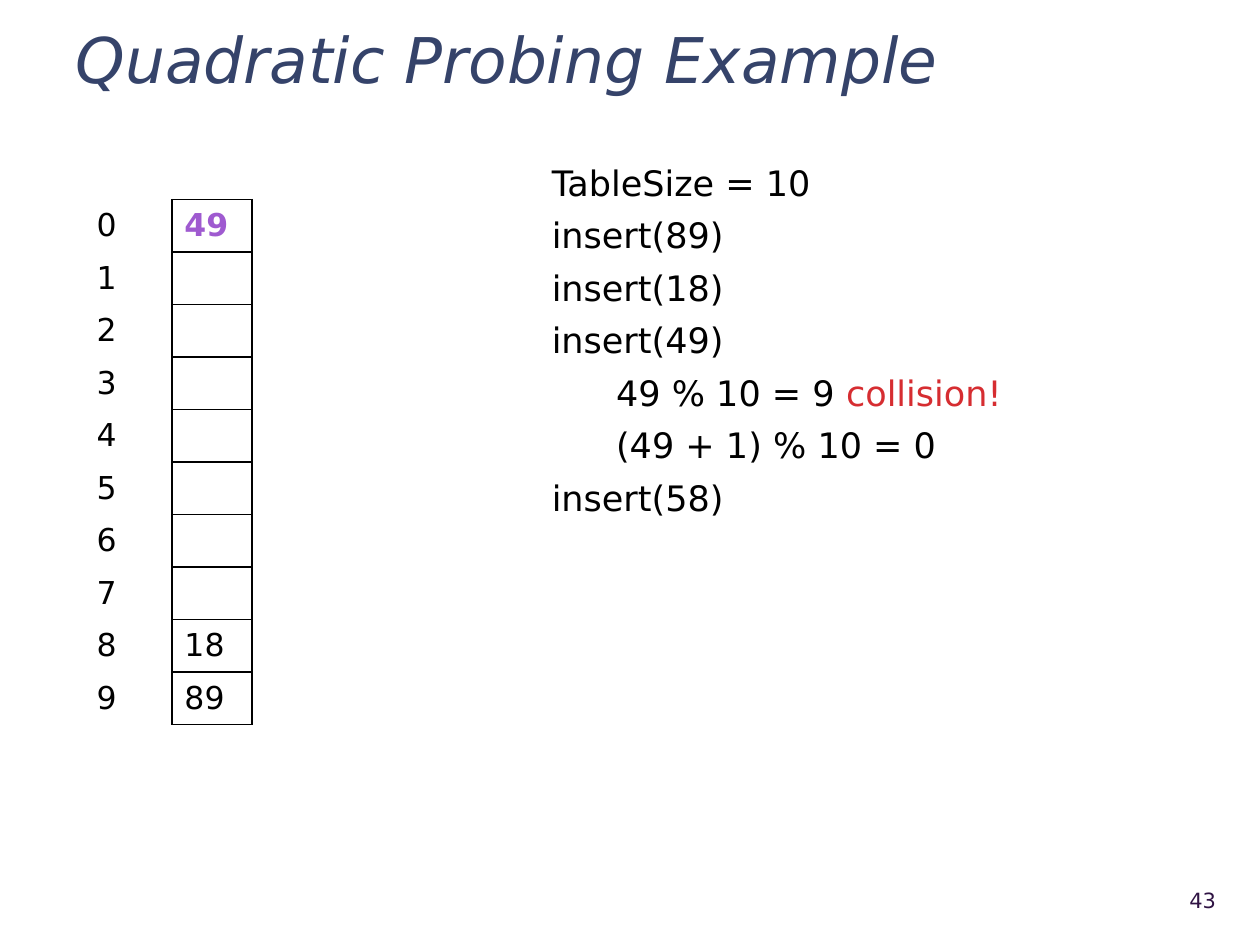
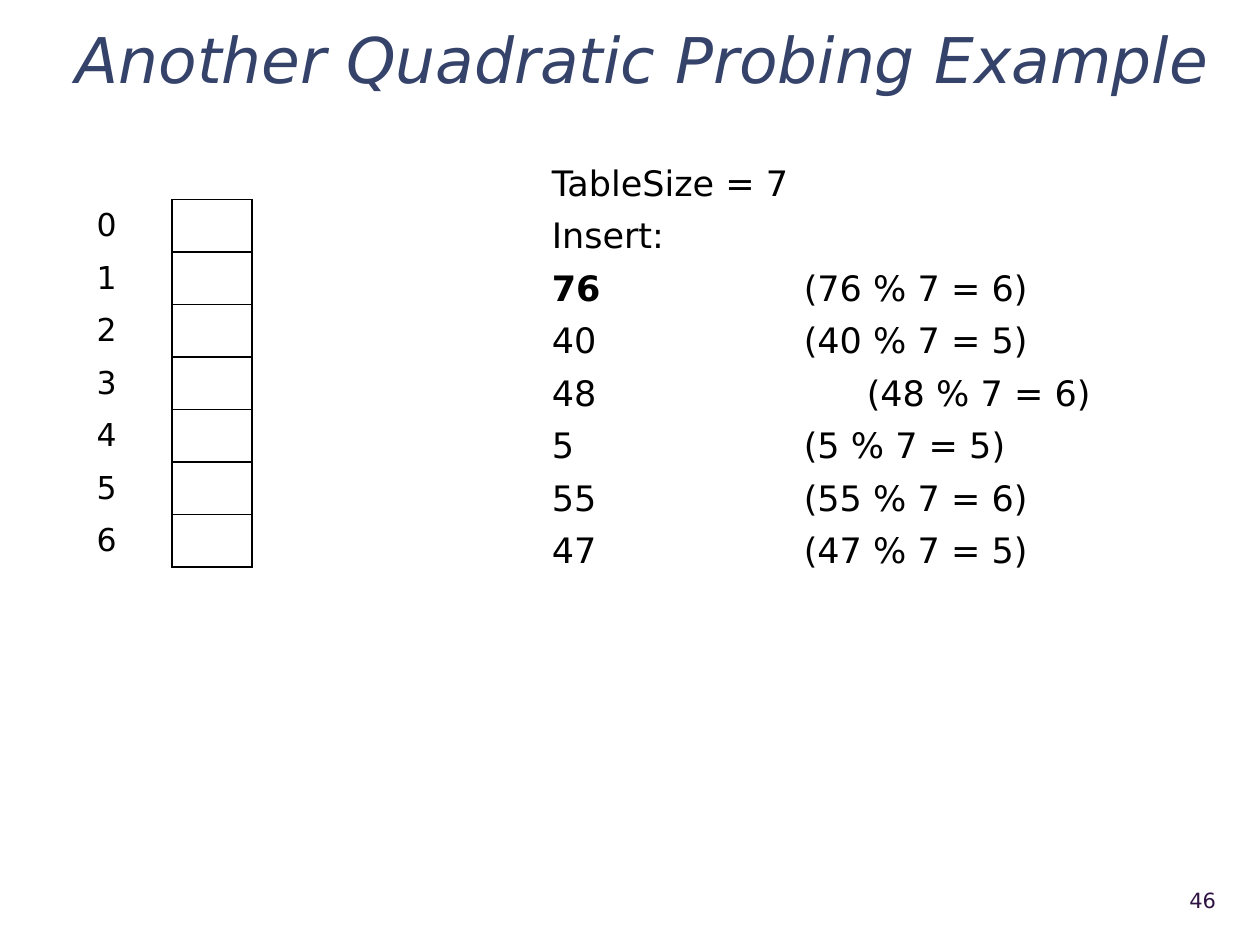
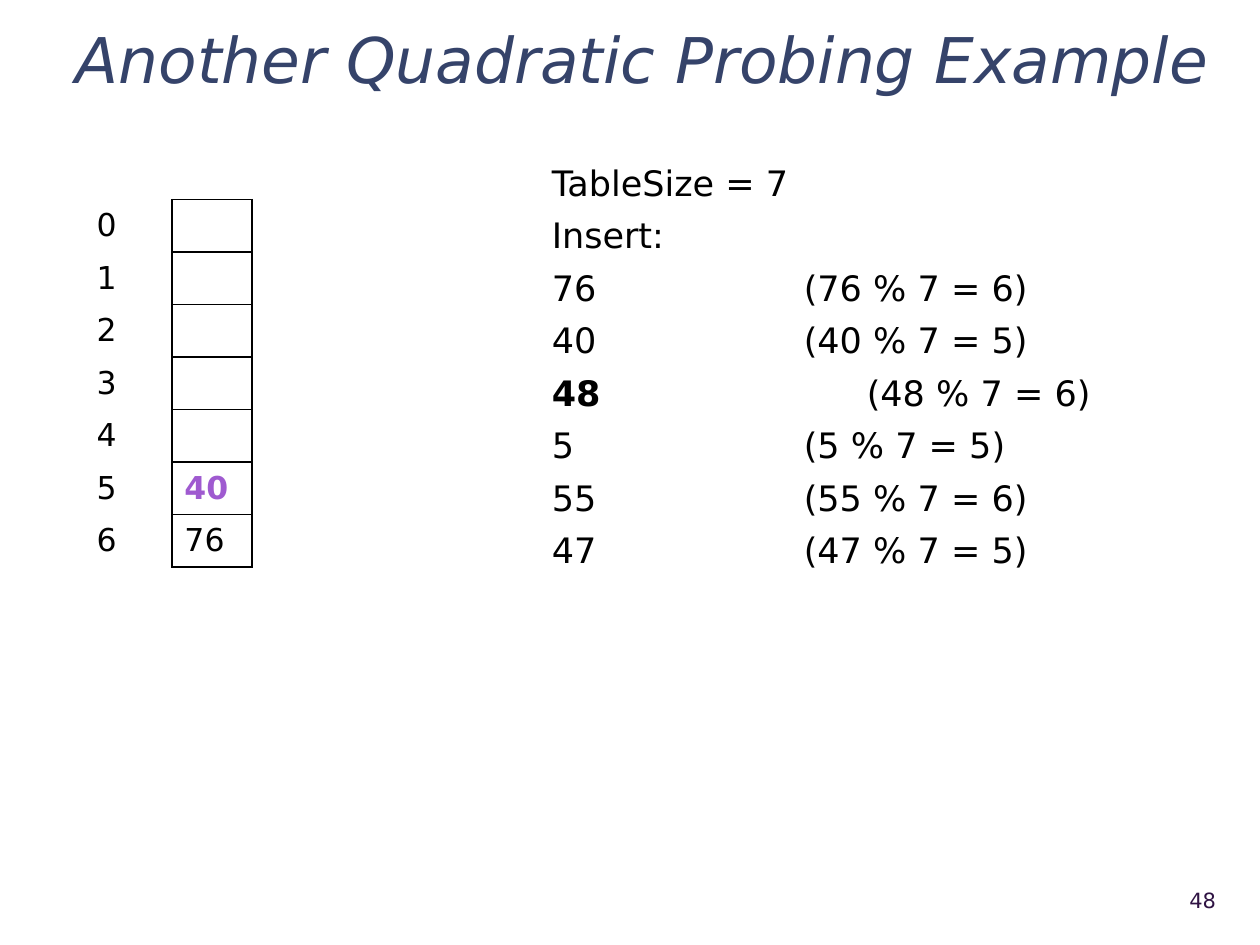
from dataclasses import dataclass

from lxml.etree import SubElement
from pptx import Presentation
from pptx.dml.color import RGBColor
from pptx.enum.text import MSO_ANCHOR as Anchor, MSO_AUTO_SIZE as AutoSize, PP_ALIGN as Align
from pptx.oxml.ns import qn
from pptx.util import Emu, Pt

# Shared style
FONT = "DejaVu Sans"
NAVY, BLACK, RED = "35436A", "000000", "D62D31"
PURPLE, PLUM = "9F5AD0", "2F1343"
SLOT_HEIGHT, INDEX_WIDTH, VALUE_WIDTH = 40, 67, 61
STEP_INDENT, HASH_TAB, FAR_HASH_TAB = 49, 192, 240
TITLE_ONLY = 5


@dataclass(frozen=True)
class Box:
    left: int
    top: int
    width: int
    height: int


@dataclass(frozen=True)
class Words:
    text: str
    color: str = BLACK
    bold: bool = False


@dataclass(frozen=True)
class Line:
    words: tuple[Words, ...]
    indent: int = 0
    tab: int = 0


@dataclass(frozen=True)
class Example:
    title: str
    number: str
    slots: int
    filled: dict[int, Words]
    lines: list[Line]
    lines_height: int


TITLE_BOX = Box(48, 16, 888, 51)
NUMBER_BOX = Box(853, 667, 83, 38)


def px(length: int) -> Emu:
    return Emu(length * 9525)


def rgb(color: str) -> RGBColor:
    return RGBColor.from_string(color)


def place(box: Box) -> tuple[Emu, Emu, Emu, Emu]:
    return px(box.left), px(box.top), px(box.width), px(box.height)


def add_words(paragraph, words: Words, size: int, italic: bool = False) -> None:
    run = paragraph.add_run()
    run.text = words.text
    font = run.font
    font.name, font.size = FONT, Pt(size)
    font.bold, font.italic = words.bold, italic
    font.color.rgb = rgb(words.color)


# Title and slide number
def set_title(slide, text: str) -> None:
    title = slide.shapes.title
    title.left, title.top, title.width, title.height = place(TITLE_BOX)
    frame = title.text_frame
    frame.word_wrap, frame.auto_size = True, AutoSize.NONE
    frame.vertical_anchor = Anchor.MIDDLE
    heading = frame.paragraphs[0]
    heading.alignment, heading.line_spacing = Align.LEFT, 1.1
    add_words(heading, Words(text, NAVY), 36, italic=True)


def add_number(slide, number: str) -> None:
    frame = slide.shapes.add_textbox(*place(NUMBER_BOX)).text_frame
    frame.word_wrap, frame.vertical_anchor = True, Anchor.MIDDLE
    footer = frame.paragraphs[0]
    footer.alignment = Align.RIGHT
    add_words(footer, Words(number, PLUM), 12)


# Hash table
def set_borders(cell, sides: str) -> None:
    properties = cell._tc.get_or_add_tcPr()
    for side in sides:
        border = SubElement(properties, qn(f"a:ln{side}"), w=str(Pt(1)))
        SubElement(SubElement(border, qn("a:solidFill")), qn("a:srgbClr"), val=BLACK)


def add_hash_table(slide, slots: int, filled: dict[int, Words]) -> None:
    box = Box(64, 152, INDEX_WIDTH + VALUE_WIDTH, slots * SLOT_HEIGHT)
    table = slide.shapes.add_table(slots, 2, *place(box)).table
    table.first_row = table.horz_banding = False
    for column, width in zip(table.columns, (INDEX_WIDTH, VALUE_WIDTH)):
        column.width = px(width)
    for slot, row in enumerate(table.rows):
        row.height = px(SLOT_HEIGHT)
        entries = (Words(str(slot)), filled.get(slot))
        for cell, entry, sides in zip(row.cells, entries, ("R", "LRTB")):
            set_borders(cell, sides)
            cell.fill.background()
            cell.vertical_anchor = Anchor.MIDDLE
            if entry:
                add_words(cell.text_frame.paragraphs[0], entry, 18)


# Insertion steps
def add_lines(slide, lines: list[Line], height: int) -> None:
    frame = slide.shapes.add_textbox(*place(Box(411, 118, 463, height))).text_frame
    frame.word_wrap, frame.auto_size = True, AutoSize.SHAPE_TO_FIT_TEXT
    for position, line in enumerate(lines):
        paragraph = frame.add_paragraph() if position else frame.paragraphs[0]
        properties = paragraph._p.get_or_add_pPr()
        if line.indent:
            properties.set("marL", str(px(line.indent)))
            properties.set("indent", "0")
        if line.tab:
            tabs = SubElement(properties, qn("a:tabLst"))
            SubElement(tabs, qn("a:tab"), pos=str(px(line.tab)), algn="l")
        if position:
            paragraph.space_before = Pt(6)
        for words in line.words:
            add_words(paragraph, words, 20)


def plain(text: str, indent: int = 0) -> Line:
    return Line((Words(text),), indent)


def key_lines(current: int) -> list[Line]:
    lines = [plain("TableSize = 7"), plain("Insert:")]
    for key in (76, 40, 48, 5, 55, 47):
        words = (Words(str(key), bold=key == current), Words(f"\t({key} % 7 = {key % 7})"))
        lines.append(Line(words, tab=FAR_HASH_TAB if key == 48 else HASH_TAB))
    return lines


# Slide contents
ANOTHER = "Another Quadratic Probing Example"
EXAMPLES = [
    Example(
        "Quadratic Probing Example", "43", 10,
        {0: Words("49", PURPLE, True), 8: Words("18"), 9: Words("89")},
        [
            plain("TableSize = 10"),
            plain("insert(89)"),
            plain("insert(18)"),
            plain("insert(49)"),
            Line((Words("49 % 10 = 9 "), Words("collision!", RED)), STEP_INDENT),
            plain("(49 + 1) % 10 = 0", STEP_INDENT),
            plain("insert(58)"),
        ],
        284,
    ),
    Example(ANOTHER, "46", 7, {}, key_lines(76), 445),
    Example(ANOTHER, "48", 7, {5: Words("40", PURPLE, True), 6: Words("76")},
            key_lines(48), 445),
]


def main() -> None:
    deck = Presentation()
    deck.slide_width, deck.slide_height = px(960), px(720)
    for example in EXAMPLES:
        slide = deck.slides.add_slide(deck.slide_layouts[TITLE_ONLY])
        set_title(slide, example.title)
        add_hash_table(slide, example.slots, example.filled)
        add_lines(slide, example.lines, example.lines_height)
        add_number(slide, example.number)
    deck.save("out.pptx")


if __name__ == "__main__":
    main()
